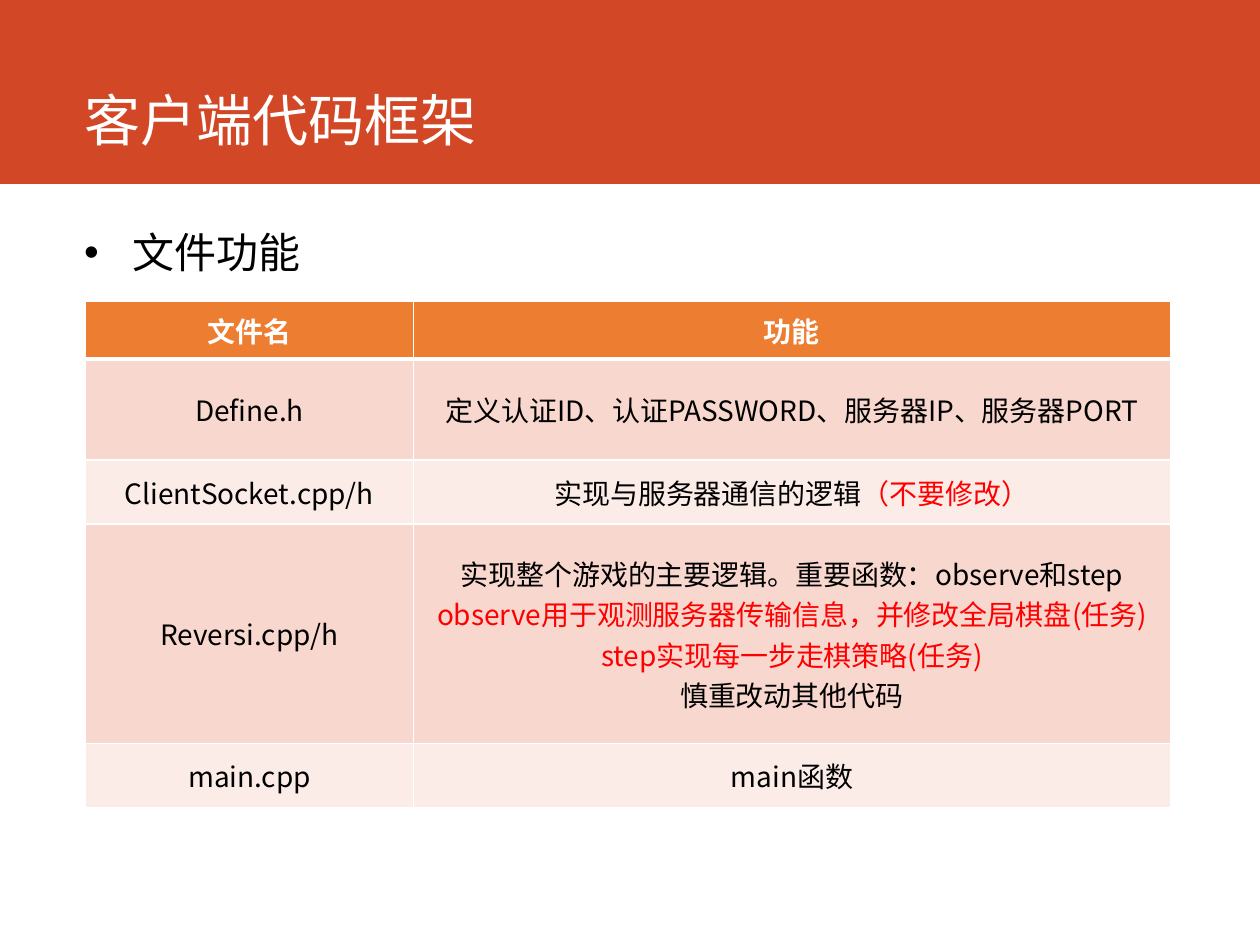
import pptx
import pptx.util
import pptx.dml.color
import pptx.enum.shapes
import pptx.enum.text
import pptx.oxml.ns
import lxml.etree

PX = 9144  # EMU per px, 100 px to the inch
FONT = "Noto Sans CJK SC"
COLORS = {"band": "D24726", "header": "ED7D31", "odd": "F8D7CE", "even": "FCECE8",
          "white": "FFFFFF", "black": "000000", "red": "FF0000"}
rgb = {k: pptx.dml.color.RGBColor.from_string(v) for k, v in COLORS.items()}
qn = pptx.oxml.ns.qn
CENTER = pptx.enum.text.PP_ALIGN.CENTER
MIDDLE = pptx.enum.text.MSO_ANCHOR.MIDDLE


def add_run(p, text, size, color, bold=False):
    r = p.add_run()
    r.text = text
    r.font.size = pptx.util.Pt(size)
    r.font.bold = bold
    r.font.color.rgb = rgb[color]
    r.font.name = FONT
    lxml.etree.SubElement(r.font._element, qn("a:ea"), typeface=FONT)


def set_borders(cell, bottom):
    """Draw white cell borders, 1 pt wide except for the bottom one."""
    tcPr = cell._tc.get_or_add_tcPr()
    for i, (side, width) in enumerate([("L", 1), ("R", 1), ("T", 1), ("B", bottom)]):
        ln = lxml.etree.Element(qn("a:ln" + side), w=str(pptx.util.Pt(width)))
        fill = lxml.etree.SubElement(ln, qn("a:solidFill"))
        lxml.etree.SubElement(fill, qn("a:srgbClr"), val=COLORS["white"])
        tcPr.insert(i, ln)


prs = pptx.Presentation()
prs.slide_width, prs.slide_height = 1000 * PX, 750 * PX
s = prs.slides.add_slide(prs.slide_layouts[5])

# Title band, behind the title
band = s.shapes.add_shape(pptx.enum.shapes.MSO_SHAPE.RECTANGLE, 0, 0, 1000 * PX, 146 * PX)
band.shadow.inherit = False
band.fill.solid()
band.fill.fore_color.rgb = rgb["band"]
band.line.fill.background()
s.shapes._spTree.insert(2, band._element)

title = s.shapes.title
title.left, title.top, title.width, title.height = 57 * PX, 62 * PX, 441 * PX, 65 * PX
tf = title.text_frame
tf.auto_size = pptx.enum.text.MSO_AUTO_SIZE.NONE
tf.vertical_anchor = pptx.enum.text.MSO_ANCHOR.BOTTOM
p = tf.paragraphs[0]
p.alignment = pptx.enum.text.PP_ALIGN.LEFT
p.line_spacing = 0.9
add_run(p, "客户端代码框架", 32, "white")

# Bulleted heading
sp = s.shapes.add_textbox(57 * PX, 175 * PX, 892 * PX, 50 * PX)
tf = sp.text_frame
tf.word_wrap = True
p = tf.paragraphs[0]
add_run(p, "文件功能", 24, "black")
pPr = p._p.get_or_add_pPr()
pPr.set("marL", str(38 * PX))
pPr.set("indent", str(-38 * PX))
lxml.etree.SubElement(pPr, qn("a:buFont"), typeface="Arial")
lxml.etree.SubElement(pPr, qn("a:buChar"), char="•")

# File table: each row is (height, file name, paragraphs of (text, color) runs)
rows = [
    (46, "文件名", [[("功能", "white")]]),
    (80, "Define.h", [[("定义认证ID、认证PASSWORD、服务器IP、服务器PORT", "black")]]),
    (51, "ClientSocket.cpp/h", [[("实现与服务器通信的逻辑", "black"), ("（不要修改）", "red")]]),
    (174, "Reversi.cpp/h", [
        [("实现整个游戏的主要逻辑。重要函数：observe和step", "black")],
        [("observe用于观测服务器传输信息，并修改全局棋盘(任务)", "red")],
        [("step实现每一步走棋策略(任务)", "red")],
        [("慎重改动其他代码", "black")]]),
    (51, "main.cpp", [[("main函数", "black")]]),
]
table_height = sum(row[0] for row in rows)
table = s.shapes.add_table(len(rows), 2, 68 * PX, 239 * PX, 861 * PX, table_height * PX).table
for col, width in zip(table.columns, (260, 601)):
    col.width = width * PX

for i, (height, name, description) in enumerate(rows):
    table.rows[i].height = height * PX
    header = i == 0
    fill = "header" if header else ("even", "odd")[i % 2]
    name_color = "white" if header else "black"
    for j, paragraphs in enumerate(([[(name, name_color)]], description)):
        cell = table.cell(i, j)
        cell.vertical_anchor = MIDDLE
        cell.fill.solid()
        cell.fill.fore_color.rgb = rgb[fill]
        set_borders(cell, 3 if header else 1)
        tf = cell.text_frame
        for k, runs in enumerate(paragraphs):
            p = tf.add_paragraph() if k else tf.paragraphs[0]
            p.alignment = CENTER
            for text, color in runs:
                add_run(p, text, 16, color, header)

prs.save("out.pptx")
